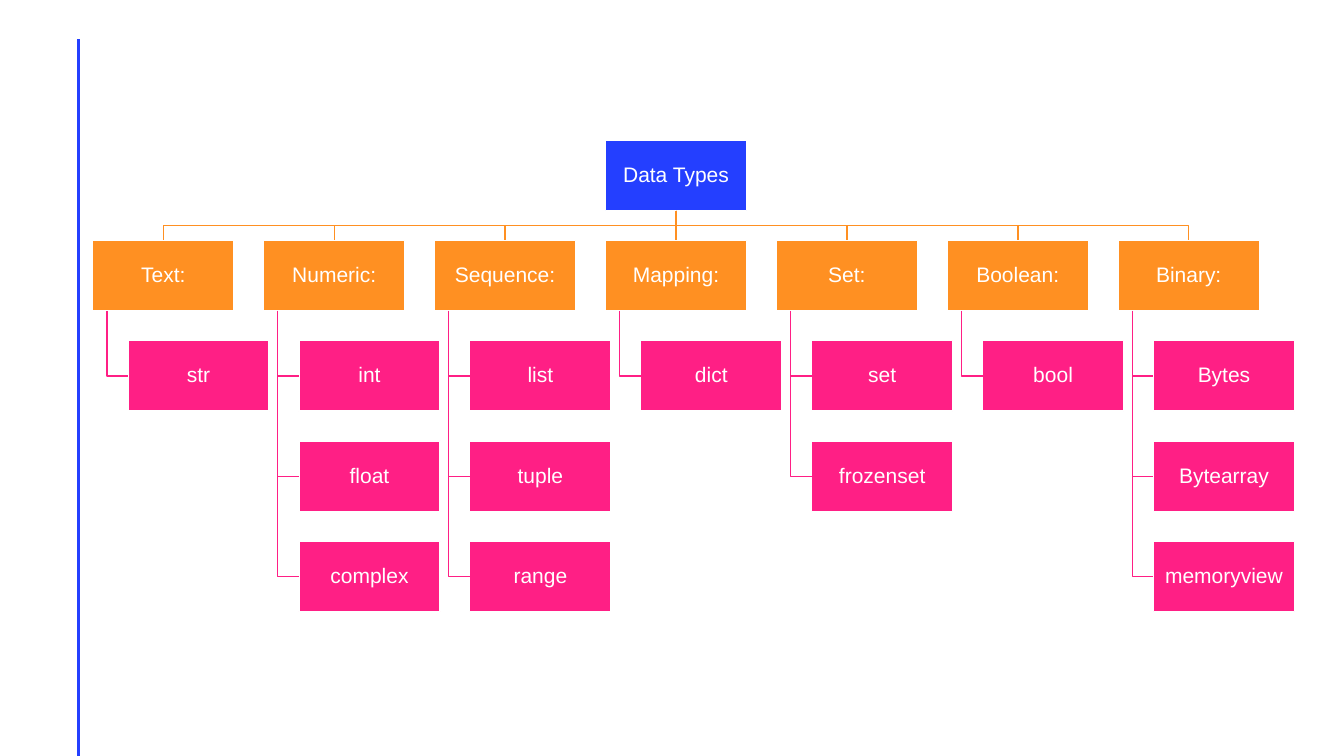
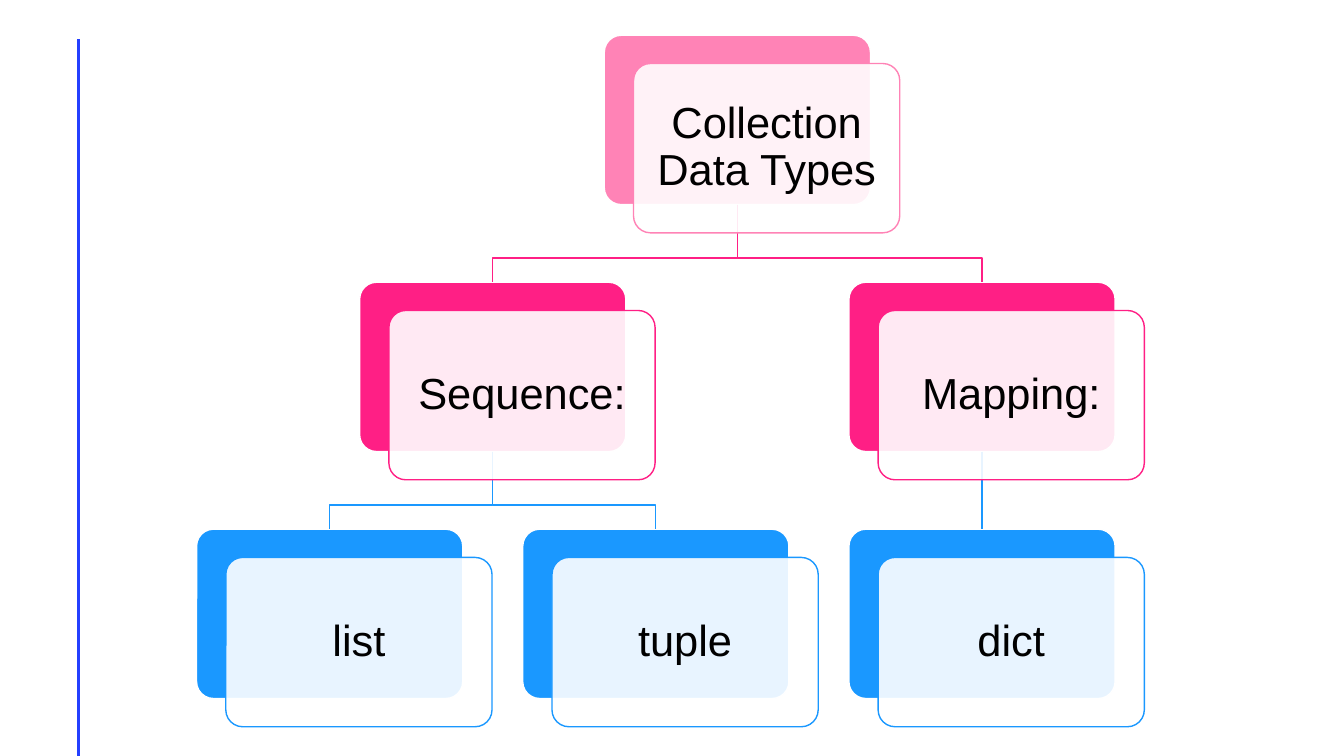
from dataclasses import dataclass

from pptx import Presentation
from pptx.dml.color import RGBColor as Rgb
from pptx.enum.shapes import MSO_CONNECTOR as Link, MSO_SHAPE as Preset
from pptx.enum.text import MSO_ANCHOR as Anchor, PP_ALIGN as Align
from pptx.oxml.xmlchemy import OxmlElement
from pptx.util import Inches, Pt


@dataclass(frozen=True)
class Theme:
    """Colours, font and type sizes shared by the slides."""
    white: str = "FFFFFF"
    black: str = "000000"
    blue: str = "243FFF"
    orange: str = "FF9022"
    pink: str = "FF1F85"
    rose: str = "FF83B6"
    sky: str = "1A98FF"
    font: str = "Arial"
    small: float = 15
    large: float = 31
    thin: float = 1
    thick: float = 2


@dataclass(frozen=True)
class Box:
    """A rectangle measured in inches."""
    left: float
    top: float
    width: float
    height: float

    def shifted(self, across, down):
        """Return the same box moved by the given distances."""
        return Box(self.left + across, self.top + down, self.width, self.height)

    def place(self):
        """Return the four lengths that add_shape expects."""
        return [Inches(n) for n in (self.left, self.top, self.width, self.height)]


THEME = Theme()
DATA_TYPES = {
    "Text:": ["str"],
    "Numeric:": ["int", "float", "complex"],
    "Sequence:": ["list", "tuple", "range"],
    "Mapping:": ["dict"],
    "Set:": ["set", "frozenset"],
    "Boolean:": ["bool"],
    "Binary:": ["Bytes", "Bytearray", "memoryview"],
}
COLLECTIONS = {"Sequence:": ["list", "tuple"], "Mapping:": ["dict"]}


def set_line(shape, colour, width=THEME.thin):
    """Give a shape or connector a solid line."""
    shape.line.color.rgb = Rgb.from_string(colour)
    shape.line.width = Pt(width)


def add_panel(page, box, preset, fill, outline):
    """Add a filled and outlined shape."""
    panel = page.shapes.add_shape(preset, *box.place())
    panel.shadow.inherit = False
    panel.fill.solid()
    panel.fill.fore_color.rgb = Rgb.from_string(fill)
    set_line(panel, outline)
    return panel


def write_label(panel, text, size, colour, inset):
    """Centre one line of text in a panel."""
    frame = panel.text_frame
    frame.word_wrap = True
    frame.vertical_anchor = Anchor.MIDDLE
    frame.margin_left = frame.margin_right = Inches(inset)
    frame.margin_top = frame.margin_bottom = Inches(inset)
    para = frame.paragraphs[0]
    para.alignment = Align.CENTER
    para.line_spacing = 0.9
    span = para.add_run()
    span.text = text
    span.font.name = THEME.font
    span.font.size = Pt(size)
    span.font.color.rgb = Rgb.from_string(colour)


def add_straight(page, colour, start=(0, 0), end=(0, 0), width=THEME.thin):
    """Add a straight connector without a shadow."""
    wire = page.shapes.add_connector(Link.STRAIGHT, *start, *end)
    set_line(wire, colour, width)
    wire.element.spPr.append(OxmlElement("a:effectLst"))
    return wire


def add_bent(page, colour, points):
    """Add an open line through the points."""
    builder = page.shapes.build_freeform(*points[0])
    builder.add_line_segments(points[1:], close=False)
    wire = builder.convert_to_shape()
    wire.shadow.inherit = False
    wire.fill.background()
    set_line(wire, colour)


def join_below(page, parent, child, rise, colour):
    """Join a parent's bottom to a child's top, bending above the child."""
    start = parent.left + parent.width // 2
    end = child.left + child.width // 2
    if abs(start - end) < Inches(0.01):
        wire = add_straight(page, colour)
        wire.begin_connect(parent, 2)
        wire.end_connect(child, 0)
        return
    bend = child.top - Inches(rise)
    add_bent(page, colour, [(start, parent.top + parent.height), (start, bend),
                            (end, bend), (end, child.top)])


def join_beside(page, parent, child, colour):
    """Join a parent's lower left part to a child's left side."""
    stem = parent.left + parent.width // 10
    middle = child.top + child.height // 2
    add_bent(page, colour, [(stem, parent.top + parent.height), (stem, middle),
                            (child.left, middle)])


def add_type_box(page, box, text, fill):
    """Add one box of the data type chart."""
    panel = add_panel(page, box, Preset.RECTANGLE, fill, THEME.white)
    write_label(panel, text, THEME.small, THEME.white, 0.01)
    return panel


def build_type_chart(page, frame):
    """Fill the frame with the root, its groups and their hanging lists."""
    width, height, indent = 1.4, 0.7, 0.35
    across = (frame.width - width - indent) / (len(DATA_TYPES) - 1)
    down = (frame.height - height) / (1 + max(map(len, DATA_TYPES.values())))
    corner = Box(frame.left, frame.top, width, height)
    centre = across * (len(DATA_TYPES) - 1) / 2
    root = add_type_box(page, corner.shifted(centre, 0), "Data Types", THEME.blue)
    for column, (name, members) in enumerate(DATA_TYPES.items()):
        spot = corner.shifted(column * across, down)
        group = add_type_box(page, spot, name, THEME.orange)
        join_below(page, root, group, (down - height) / 2, THEME.orange)
        for row, member in enumerate(members, 1):
            leaf = add_type_box(page, spot.shifted(indent, row * down), member, THEME.pink)
            join_beside(page, group, leaf, THEME.pink)


def add_card(page, box, fill, outline):
    """Add a rounded card."""
    card = add_panel(page, box, Preset.ROUNDED_RECTANGLE, fill, outline)
    card.adjustments[0] = 0.1
    return card


def add_glass(page, box, text, outline):
    """Add the translucent card that carries a label."""
    glass = add_card(page, box, THEME.white, outline)
    alpha = OxmlElement("a:alpha")
    alpha.set("val", "90000")
    glass.element.xpath("./p:spPr/a:solidFill/a:srgbClr")[0].append(alpha)
    write_label(glass, text, THEME.large, THEME.black, 0.13)


def build_collection_chart(page, frame):
    """Fill the frame with a three-level tree of doubled cards."""
    width, height, right, lower, rise = 2.64, 1.68, 0.29, 0.28, 0.24
    leaf_count = sum(map(len, COLLECTIONS.values()))
    across = (frame.width - width - right) / (leaf_count - 1)
    down = (frame.height - height - lower) / 2
    corner = Box(frame.left, frame.top, width, height)
    labels, links = [], []

    def add_node(text, column, level, colour, children=()):
        box = corner.shifted(column * across, level * down)
        card = add_card(page, box, colour, THEME.white)
        labels.append((box.shifted(right, lower), text, colour))
        links.extend((card, child) for child in children)
        return card

    groups, columns, first = [], [], 0
    for name, members in COLLECTIONS.items():
        leaves = [add_node(member, first + place, 2, THEME.sky)
                  for place, member in enumerate(members)]
        columns.append(first + (len(members) - 1) / 2)
        groups.append(add_node(name, columns[-1], 1, THEME.pink, leaves))
        first += len(members)
    middle = (columns[0] + columns[-1]) / 2
    root = add_node("Collection Data Types", middle, 0, THEME.rose, groups)
    for parent, child in links:
        colour = THEME.pink if parent is root else THEME.sky
        join_below(page, parent, child, rise, colour)
    for box, text, colour in labels:
        add_glass(page, box, text, colour)


def add_side_rule(page):
    """Draw the side rule and hand it to the layout shared by the slides."""
    rule = add_straight(page, THEME.blue, (Inches(0.78), Inches(0.39)),
                        (Inches(0.78), Inches(7.5)), THEME.thick)
    page.slide_layout.shapes.element.append(rule.element)


def main():
    """Build the deck."""
    deck = Presentation()
    deck.slide_width, deck.slide_height = Inches(13.33), Inches(7.5)
    layout = deck.slide_layouts[6]
    types_page = deck.slides.add_slide(layout)
    add_side_rule(types_page)
    build_type_chart(types_page, Box(0.92, 1.39, 11.92, 4.68))
    build_collection_chart(deck.slides.add_slide(layout), Box(1.95, 0.35, 9.4, 6.86))
    deck.save("out.pptx")


if __name__ == "__main__":
    main()
